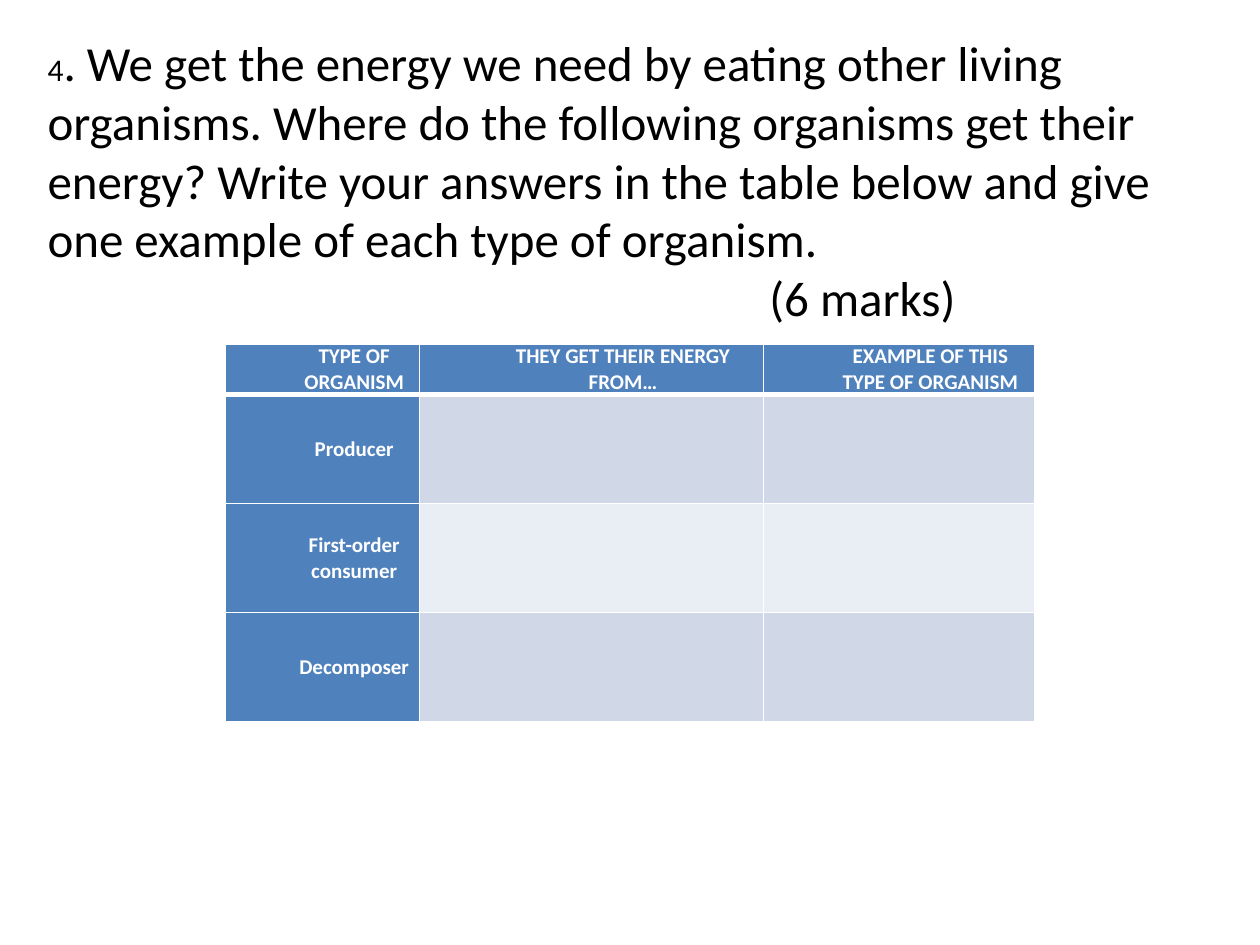
import lxml.etree
import pptx
import pptx.dml.color
import pptx.enum.text
import pptx.oxml.ns
import pptx.util

Cm = pptx.util.Cm
Pt = pptx.util.Pt
CENTER = pptx.enum.text.PP_ALIGN.CENTER
MIDDLE = pptx.enum.text.MSO_ANCHOR.MIDDLE
FIT = pptx.enum.text.MSO_AUTO_SIZE.SHAPE_TO_FIT_TEXT

QUESTION = (
    ". We get the energy we need by eating other living organisms. "
    "Where do the following organisms get their energy? Write your answers "
    "in the table below and give one example of each type of organism."
)
HEADINGS = [
    "TYPE OF ORGANISM",
    "THEY GET THEIR ENERGY FROM…",
    "EXAMPLE OF THIS TYPE OF ORGANISM",
]
ORGANISMS = ["Producer", "First-order consumer", "Decomposer"]


def colour(value):
    return pptx.dml.color.RGBColor.from_string(value)


class Worksheet:
    """Holds the worksheet style and the page being filled."""

    font = "Calibri"
    ink = "000000"
    light = "FFFFFF"
    accent = "4F81BD"
    bands = ("D0D8E8", "E9EDF4")

    def __init__(self, deck):
        self.page = deck.slides.add_slide(deck.slide_layouts[6])

    def set_font(self, font, size, value, bold=False):
        font.name = self.font
        font.size = Pt(size)
        font.bold = bold
        font.color.rgb = colour(value)

    def indent(self, para, length):
        properties = para._p.get_or_add_pPr()
        properties.set("marL", str(length))
        properties.set("indent", "0")

    def question(self, number, text, marks):
        box = self.page.shapes.add_textbox(Cm(0.71), Cm(0.53), Cm(24), Cm(7))
        frame = box.text_frame
        frame.word_wrap = True
        frame.auto_size = FIT
        para = frame.paragraphs[0]
        for words, size in ((number, 18), (text, 28)):
            span = para.add_run()
            span.text = words
            self.set_font(span.font, size, self.ink)
        para = frame.add_paragraph()
        para.text = marks
        self.indent(para, Cm(14.55))
        self.set_font(para.font, 28, self.ink)

    def border(self, cell, side, width):
        properties = cell._tc.get_or_add_tcPr()
        tag = pptx.oxml.ns.qn
        line = lxml.etree.SubElement(properties, tag("a:ln" + side), w=str(Pt(width)))
        fill = lxml.etree.SubElement(line, tag("a:solidFill"))
        lxml.etree.SubElement(fill, tag("a:srgbClr"), val=self.light)

    def cell(self, cell, text, row, fill):
        thick = {"T": row == 1, "B": row == 0}
        for side in "LRTB":
            self.border(cell, side, 3 if thick.get(side) else 1)
        cell.fill.solid()
        cell.fill.fore_color.rgb = colour(fill)
        cell.vertical_anchor = MIDDLE
        cell.margin_left = cell.margin_right = Cm(0.18)
        cell.margin_top = cell.margin_bottom = 0
        if text:
            para = cell.text_frame.paragraphs[0]
            para.text = text
            para.alignment = CENTER
            self.indent(para, Cm(1.27))
            self.set_font(para.font, 12, self.light, bold=True)

    def answer_table(self, headings, organisms):
        rows = [headings] + [[name, "", ""] for name in organisms]
        widths = [3.91, 6.93, 5.46]
        heights = [1.02] + [2.2] * len(organisms)
        table = self.page.shapes.add_table(
            len(rows), len(widths), Cm(4.55), Cm(6.93),
            Cm(sum(widths)), Cm(sum(heights)),
        ).table
        table.first_col = True
        for column, width in zip(table.columns, widths):
            column.width = Cm(width)
        for r, texts in enumerate(rows):
            table.rows[r].height = Cm(heights[r])
            for c, text in enumerate(texts):
                fill = self.accent if r == 0 or c == 0 else self.bands[(r - 1) % 2]
                self.cell(table.cell(r, c), text, r, fill)


def main():
    deck = pptx.Presentation()
    deck.slide_width = Cm(25.4)
    deck.slide_height = Cm(19.05)
    sheet = Worksheet(deck)
    sheet.question("4", QUESTION, "(6 marks)")
    sheet.answer_table(HEADINGS, ORGANISMS)
    deck.save("out.pptx")


if __name__ == "__main__":
    main()
